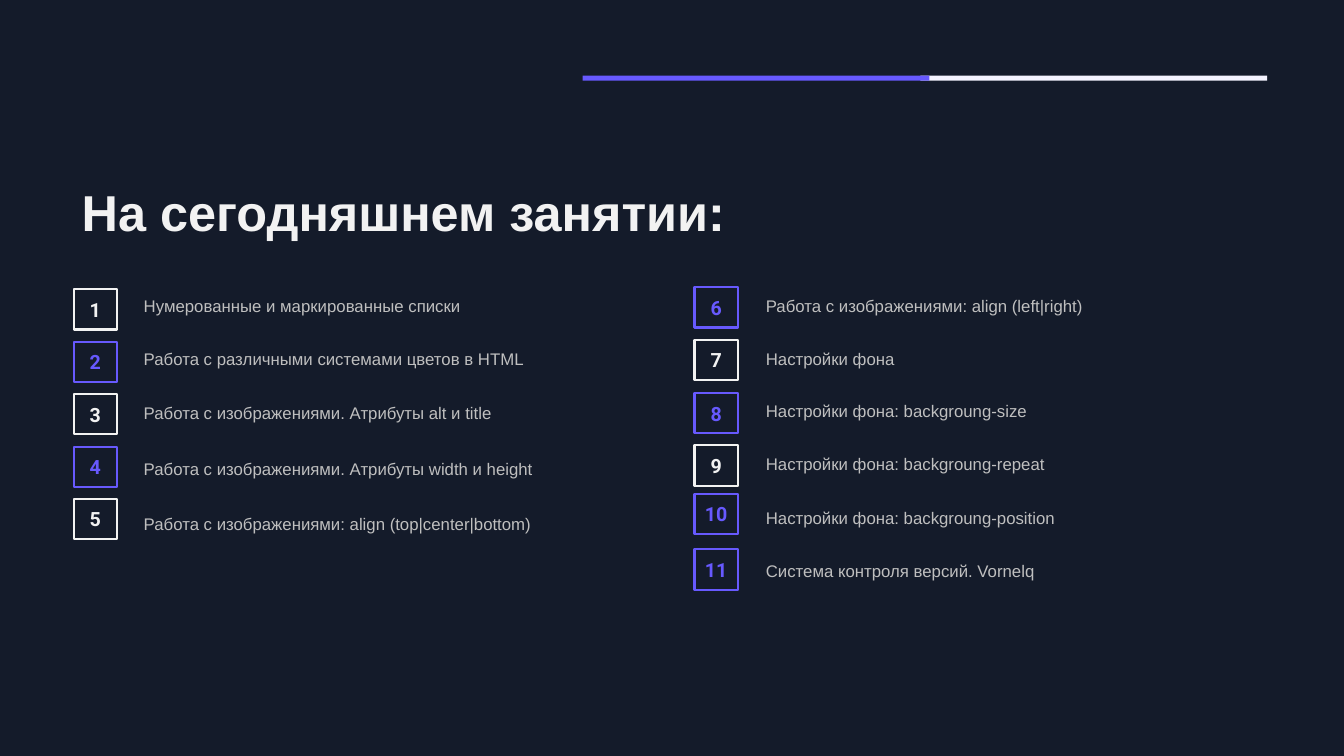
"""Build the lesson agenda slide with two numbered columns."""
from pptx import Presentation
from pptx.dml.color import RGBColor
from pptx.enum import shapes, text
from pptx.util import Pt

TITLE = "На сегодняшнем занятии:"
DARK, LIGHT, ACCENT, GREY, PALE = "141B2A", "F2F2F2", "6759FE", "BFBFBF", "F4F3FF"

COLUMNS = [
    (52.6, 95.6, [
        ("Нумерованные и маркированные списки", 206.6, 207.4),
        ("Работа с различными системами цветов в HTML", 244.1, 245.5),
        ("Работа с изображениями. Атрибуты alt и title", 281.5, 284.4),
        ("Работа с изображениями. Атрибуты width и height", 319, 324),
        ("Работа с изображениями: align (top|center|bottom)", 356.4, 363.6),
    ]),
    (496.1, 540, [
        ("Работа с изображениями: align (left|right)", 205.2, 207.4),
        ("Настройки фона", 242.6, 245.5),
        ("Настройки фона: backgroung-size", 280.8, 283),
        ("Настройки фона: backgroung-repeat", 318.2, 320.4),
        ("Настройки фона: backgroung-position", 352.8, 359.3),
        ("Система контроля версий. Vornelq", 392.4, 396.7),
    ]),
]
BARS = [(657.4, PALE), (416.2, ACCENT)]
BAR_TOP, BAR_WIDTH, BAR_HEIGHT = 54, 247.7, 3.6
BOX_WIDTH, BOX_HEIGHT = 31, 28.8
TEXT_WIDTH, TEXT_HEIGHT = 306.7, 24.5
NUMBER = {"size": Pt(14), "name": "Roboto", "bold": True}
TOPIC = {"size": Pt(12), "name": "Arial", "bold": False}
HEADING = {"size": Pt(36), "name": "Arial", "bold": True}


def rgb(color):
    return RGBColor.from_string(color)


def points(*lengths):
    return [Pt(length) for length in lengths]


def write(shape, words, font, color, align, anchor, margin=3.6):
    frame = shape.text_frame
    frame_format = {
        "text": words, "word_wrap": True, "auto_size": text.MSO_AUTO_SIZE.NONE,
        "vertical_anchor": anchor, "margin_left": Pt(7.2), "margin_right": Pt(7.2),
        "margin_top": Pt(margin), "margin_bottom": Pt(margin),
    }
    for name, value in frame_format.items():
        setattr(frame, name, value)
    paragraph = frame.paragraphs[0]
    paragraph.alignment = align
    run = paragraph.runs[0]
    for name, value in font.items():
        setattr(run.font, name, value)
    run.font.color.rgb = rgb(color)
    return paragraph


def add_rectangle(slide, *lengths):
    shape = slide.shapes.add_shape(shapes.MSO_SHAPE.RECTANGLE, *points(*lengths))
    shape.shadow.inherit = False
    return shape


def add_bar(slide, left, color):
    bar = add_rectangle(slide, left, BAR_TOP, BAR_WIDTH, BAR_HEIGHT)
    bar.fill.solid()
    bar.fill.fore_color.rgb = rgb(color)
    bar.line.fill.background()


def add_number(slide, number, left, top):
    color = LIGHT if number % 2 and number < 10 else ACCENT
    box = add_rectangle(slide, left, top, BOX_WIDTH, BOX_HEIGHT)
    box.fill.background()
    box.line.color.rgb = rgb(color)
    box.line.width = Pt(1.5)
    write(box, str(number), NUMBER, color, text.PP_ALIGN.CENTER, text.MSO_ANCHOR.MIDDLE, 7.2)


def add_topic(slide, words, left, top):
    box = slide.shapes.add_textbox(*points(left, top, TEXT_WIDTH, TEXT_HEIGHT))
    write(box, words, TOPIC, GREY, text.PP_ALIGN.LEFT, text.MSO_ANCHOR.TOP)


def main():
    presentation = Presentation()
    presentation.slide_width, presentation.slide_height = points(960, 540)
    slide = presentation.slides.add_slide(presentation.slide_layouts[5])
    slide.background.fill.solid()
    slide.background.fill.fore_color.rgb = rgb(DARK)

    title = slide.shapes.title
    title.left, title.top, title.width, title.height = points(51.1, 131, 612, 47.5)
    heading = write(title, TITLE, HEADING, LIGHT, text.PP_ALIGN.LEFT, text.MSO_ANCHOR.TOP)
    heading.line_spacing = 0.9

    for left, color in BARS:
        add_bar(slide, left, color)

    number = 0
    for box_left, text_left, items in COLUMNS:
        for words, box_top, text_top in items:
            number += 1
            add_number(slide, number, box_left, box_top)
            add_topic(slide, words, text_left, text_top)

    presentation.save("out.pptx")


if __name__ == "__main__":
    main()
